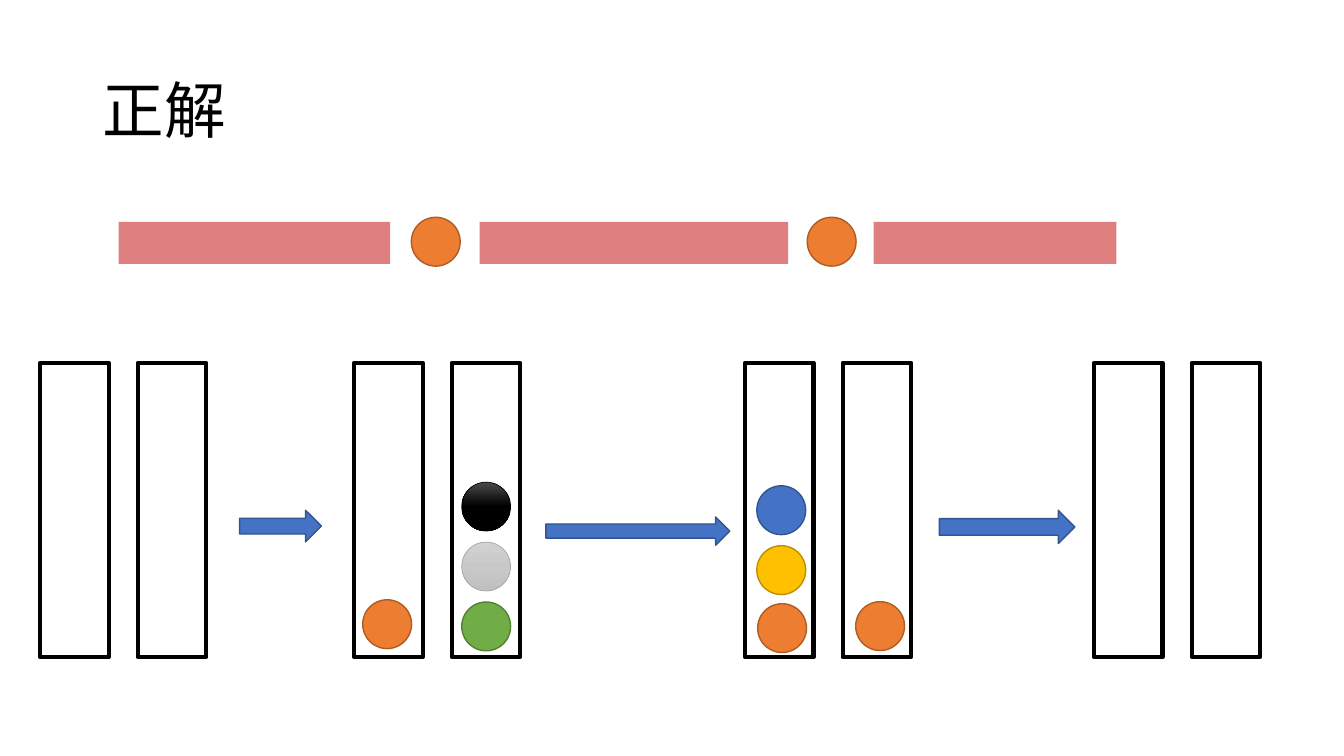
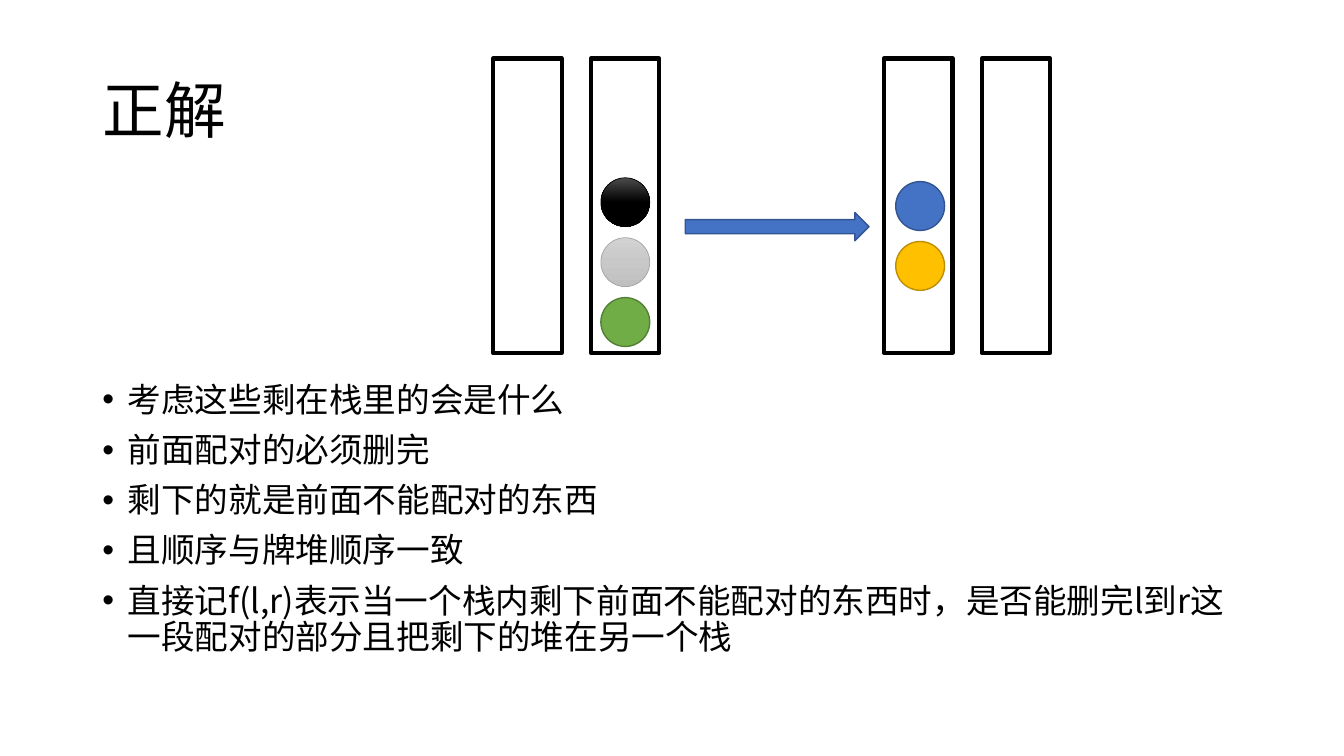
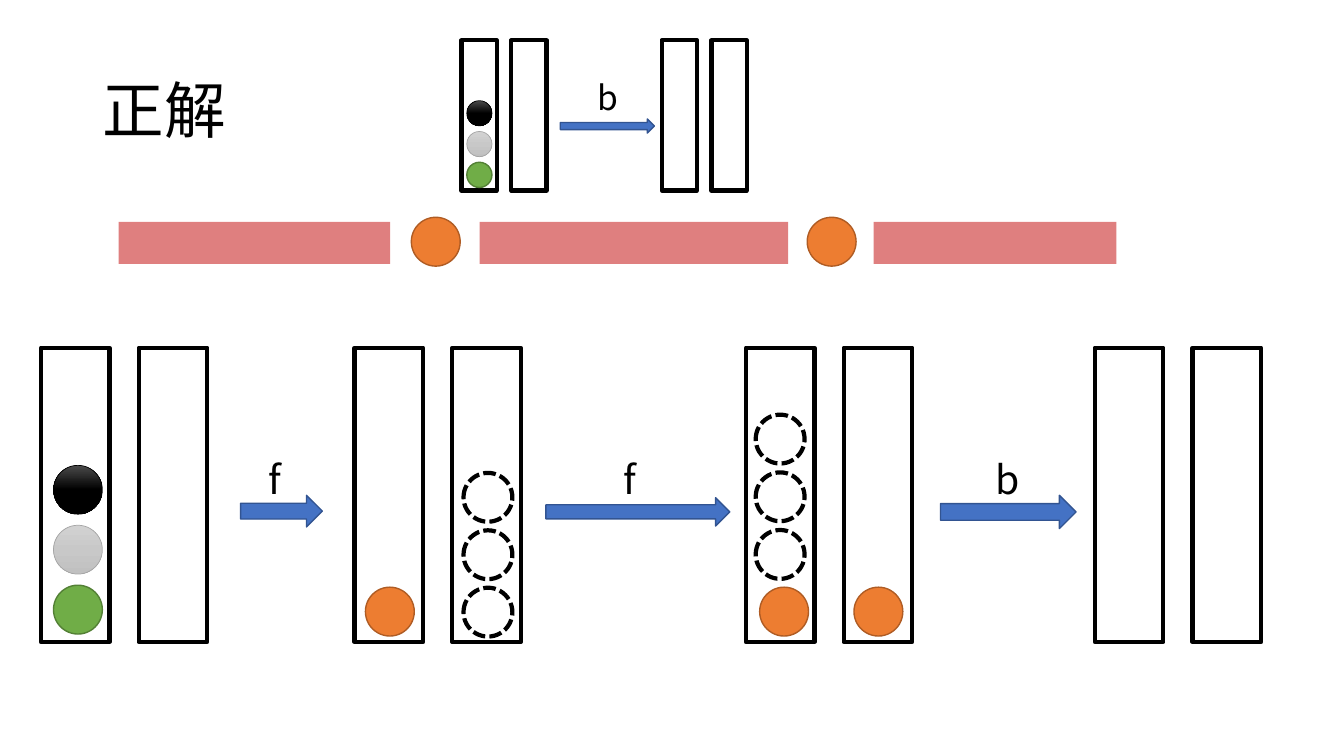
from copy import deepcopy

from lxml.etree import SubElement
from pptx import Presentation
from pptx.dml.color import RGBColor
from pptx.enum.dml import MSO_LINE
from pptx.enum.shapes import MSO_SHAPE
from pptx.enum.text import MSO_ANCHOR, MSO_AUTO_SIZE, PP_ALIGN
from pptx.oxml.ns import qn
from pptx.util import Pt


class Theme:
    """Colours, type sizes and common measures, in points."""
    font = "Noto Sans CJK SC"
    ink = "000000"
    band = "C00000"
    arrow = ("4472C4", "325491")
    title, body, label, small = 44, 24, 28, 24
    # Each ball: fill stops from top to bottom, line colour, line width
    balls = {
        "orange": (["ED7D31"], "AF5C24", 1),
        "green": (["70AD47"], "538035", 1),
        "gold": (["FFC000"], "BD8E00", 1),
        "blue": (["4472C4"], "325491", 1),
        "grey": (["D2D2D2", "C8C8C8", "C0C0C0"], "A5A5A5", 0.5),
        "black": (["4B4B4B", "000000", "000000"], "000000", 0.5),
        "open": ([], "000000", 3),
    }
    size = 34.9
    step = 42.8
    tube = (49, 210.2)
    pitch = 69.8


TRIO = ["green", "grey", "black"]
TITLE = "正解"
POINTS = [
    "考虑这些剩在栈里的会是什么",
    "前面配对的必须删完",
    "剩下的就是前面不能配对的东西",
    "且顺序与牌堆顺序一致",
    "直接记f(l,r)表示当一个栈内剩下前面不能配对的东西时，"
    "是否能删完l到r这一段配对的部分且把剩下的堆在另一个栈",
]


def rgb(code):
    """Turn a hex code into a colour."""
    return RGBColor.from_string(code)


def place(item, x, y, wide, high):
    """Move and size an item, in points."""
    item.left, item.top = Pt(x), Pt(y)
    item.width, item.height = Pt(wide), Pt(high)


def write(frame, lines, size, space=None, before=0, bullet=False):
    """Fill a text frame with formatted paragraphs."""
    for count, line in enumerate(lines):
        para = frame.add_paragraph() if count else frame.paragraphs[0]
        para.alignment = PP_ALIGN.LEFT
        para.line_spacing = space
        para.space_before = Pt(before)
        run = para.add_run()
        run.text = line
        run.font.size = Pt(size)
        run.font.name = Theme.font
        run.font.color.rgb = rgb(Theme.ink)
        SubElement(run.font._element, qn("a:ea")).set("typeface", Theme.font)
        if bullet:
            props = para._p.get_or_add_pPr()
            props.set("marL", str(Pt(18)))
            props.set("indent", str(Pt(-18)))
            SubElement(props, qn("a:buFont")).set("typeface", "Arial")
            SubElement(props, qn("a:buChar")).set("char", "•")


def draw(shapes, kind, box, fill=None, line=None, width=1):
    """Add a preset shape with a plain fill and line."""
    shape = shapes.add_shape(kind, *map(Pt, box))
    shape.shadow.inherit = False
    if fill:
        shape.fill.solid()
        shape.fill.fore_color.rgb = rgb(fill)
    else:
        shape.fill.background()
    if line:
        shape.line.color.rgb = rgb(line)
        shape.line.width = Pt(width)
    else:
        shape.line.fill.background()
    return shape


def blend(shape, stops):
    """Give a shape a gradient of three stops from top to bottom."""
    shape.fill.gradient()
    shape.fill.gradient_angle = 270
    group = shape._element.spPr.find(".//" + qn("a:gsLst"))
    group.append(deepcopy(group[-1]))
    for count, (stop, code) in enumerate(zip(shape.fill.gradient_stops, stops)):
        stop.position = count / 2
        stop.color.rgb = rgb(code)


def ball(shapes, x, y, kind, size=Theme.size):
    """Add one ball of a named kind."""
    stops, line, width = Theme.balls[kind]
    shape = draw(shapes, MSO_SHAPE.OVAL, (x, y, size, size),
                 stops[0] if stops else None, line, width)
    if len(stops) > 1:
        blend(shape, stops)
    if kind == "open":
        shape.line.dash_style = MSO_LINE.SQUARE_DOT


def stack(shapes, x, y, kinds, step=Theme.step, size=Theme.size):
    """Pile balls upwards from the lowest one at y."""
    for count, kind in enumerate(kinds):
        ball(shapes, x, y - count * step, kind, size)


def pairs(shapes, lefts, y, tube=Theme.tube, pitch=Theme.pitch):
    """Add two tubes side by side at each left edge."""
    for left in lefts:
        for x in (left, left + pitch):
            draw(shapes, MSO_SHAPE.RECTANGLE, (x, y, *tube), line=Theme.ink, width=3)


def arrow(shapes, *box):
    """Add a block arrow to the right."""
    draw(shapes, MSO_SHAPE.RIGHT_ARROW, box, *Theme.arrow)


def strip(shapes):
    """Add the row of pale bands parted by two balls."""
    for x, wide in ((84.8, 193.8), (342.6, 220.4), (624.1, 173.4)):
        band = draw(shapes, MSO_SHAPE.RECTANGLE, (x, 158.5, wide, 30), Theme.band)
        tint = band._element.spPr.find(".//" + qn("a:srgbClr"))
        SubElement(tint, qn("a:alpha")).set("val", "50000")
    for x in (293.8, 576.6):
        ball(shapes, x, 155.2, "orange")


def label(shapes, words, x, y, wide, high, size=Theme.label):
    """Add a short text above an arrow."""
    box = shapes.add_textbox(Pt(x), Pt(y), Pt(wide), Pt(high))
    box.text_frame.word_wrap = False
    box.text_frame.auto_size = MSO_AUTO_SIZE.SHAPE_TO_FIT_TEXT
    write(box.text_frame, [words], size)


def start(deck, layout):
    """Add a slide with the shared title."""
    slide = deck.slides.add_slide(deck.slide_layouts[layout])
    title = slide.shapes.title
    place(title, 66, 28.8, 828, 104.4)
    title.text_frame.vertical_anchor = MSO_ANCHOR.MIDDLE
    write(title.text_frame, [TITLE], Theme.title, space=0.9)
    return slide


def steps(deck):
    """Build the slide with the full run of moves."""
    shapes = start(deck, 5).shapes
    strip(shapes)
    pairs(shapes, (28.6, 252.9, 532.1, 781.4), 259.2)
    ball(shapes, 259.1, 428.4, "orange")
    stack(shapes, 329.8, 430, TRIO)
    ball(shapes, 541.2, 431.2, "orange")
    stack(shapes, 540.6, 389.8, ["gold", "blue"])
    ball(shapes, 611.2, 429.8, "orange")
    arrow(shapes, 171.2, 364.5, 58.4, 22.6)
    arrow(shapes, 390, 369.2, 131.3, 20.2)
    arrow(shapes, 671, 364.5, 96.8, 23.8)


def rules(deck):
    """Build the slide with one move and its points."""
    slide = start(deck, 1)
    shapes = slide.shapes
    body = slide.placeholders[1]
    place(body, 66, 270, 828, 216.7)
    body.text_frame.auto_size = MSO_AUTO_SIZE.NONE
    write(body.text_frame, POINTS, Theme.body, space=0.9, before=10, bullet=True)
    pairs(shapes, (352.2, 631.4), 41.8)
    stack(shapes, 429.2, 212.6, TRIO)
    stack(shapes, 639.8, 172.5, ["gold", "blue"])
    arrow(shapes, 489.5, 151.8, 131.3, 20.2)


def states(deck):
    """Build the slide that names each move."""
    shapes = start(deck, 5).shapes
    group = shapes.add_group_shape().shapes
    pairs(group, (329.6, 472.6), 28.8, (25.2, 107.3), 35.6)
    stack(group, 333.4, 115.9, TRIO, 22, 18)
    arrow(group, 400.2, 85, 67.2, 10.1)
    strip(shapes)
    pairs(shapes, (29.2, 253.2, 532.8, 782), 248.4)
    stack(shapes, 38.2, 418, TRIO)
    for x in (261, 542.6, 610):
        ball(shapes, x, 419.4, "orange")
    stack(shapes, 331.1, 419.8, ["open"] * 3, 41)
    stack(shapes, 539.8, 378.6, ["open"] * 3, 41.2)
    arrow(shapes, 171.9, 353.8, 58.4, 22.6)
    arrow(shapes, 390, 355.5, 131.3, 20.2)
    arrow(shapes, 671.8, 353.8, 96.8, 23.8)
    label(shapes, "f", 185, 321.4, 23, 41)
    label(shapes, "f", 438.5, 321.8, 23, 41)
    label(shapes, "b", 704.2, 321.8, 31, 41)
    label(shapes, "b", 419.8, 51.1, 28, 36, Theme.small)


def main():
    """Build and save the deck."""
    deck = Presentation()
    deck.slide_width, deck.slide_height = Pt(960), Pt(540)
    steps(deck)
    rules(deck)
    states(deck)
    deck.save("out.pptx")


main()
